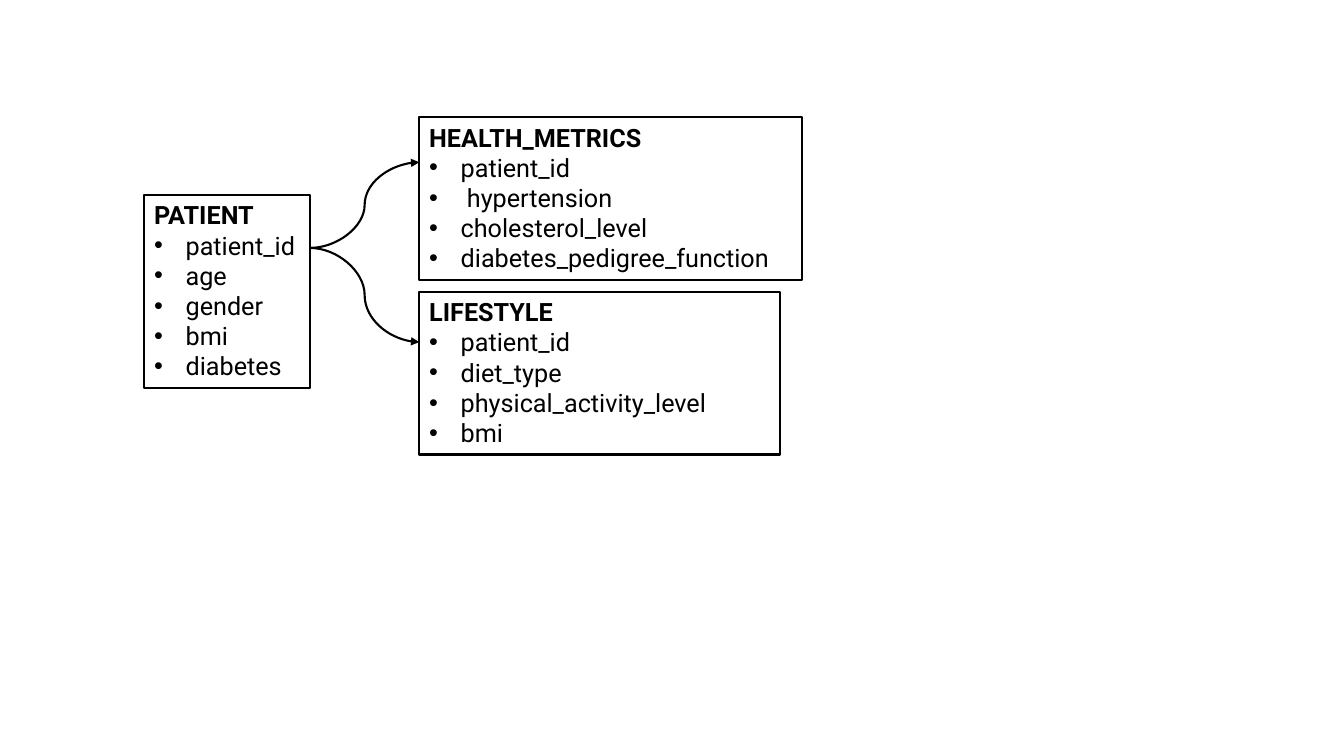
"""Build a slide showing how the patient table links to two related tables."""
from lxml import etree
from pptx import Presentation
from pptx import util as u
from pptx.dml import color
from pptx.enum import shapes, text
from pptx.oxml import ns

COLORS = {"ink": "000000", "paper": "FFFFFF"}
ENTITIES = {
    "PATIENT": {
        "left": 103, "top": 139, "width": 118.4, "port": 38.1,
        "fields": ["patient_id", "age", "gender", "bmi", "diabetes"],
    },
    "HEALTH_METRICS": {
        "left": 299.5, "top": 83.5, "width": 273.6, "port": 32.4,
        "fields": ["patient_id", " hypertension", "cholesterol_level",
                   "diabetes_pedigree_function"],
    },
    "LIFESTYLE": {
        "left": 299.5, "top": 208.3, "width": 257.8, "port": 36,
        "fields": ["patient_id", "diet_type", "physical_activity_level", "bmi"],
    },
}
RELATIONS = [("PATIENT", "HEALTH_METRICS"), ("PATIENT", "LIFESTYLE")]
ROW_HEIGHT, PADDING, INDENT, STROKE = 21.84, 7.2, 22.5, 1.5
FONT = {"name": "Roboto", "size": u.Pt(18)}
FRAME = {"word_wrap": True, "vertical_anchor": text.MSO_ANCHOR.TOP,
         "auto_size": text.MSO_AUTO_SIZE.SHAPE_TO_FIT_TEXT}


def rgb(key):
    return color.RGBColor.from_string(COLORS[key])


def apply(target, values):
    for key, value in values.items():
        setattr(target, key, value)


def outline(line):
    line.color.rgb = rgb("ink")
    line.width = u.Pt(STROKE)


def add_bullet(paragraph):
    properties = paragraph._p.get_or_add_pPr()
    properties.set("marL", str(u.Pt(INDENT)))
    properties.set("indent", str(-u.Pt(INDENT)))
    etree.SubElement(properties, ns.qn("a:buFont"), typeface="Arial")
    etree.SubElement(properties, ns.qn("a:buChar"), char="•")


def add_entity(slide, title, entity):
    rows = [title, *entity["fields"]]
    height = len(rows) * ROW_HEIGHT + PADDING
    card = slide.shapes.add_textbox(
        u.Pt(entity["left"]), u.Pt(entity["top"]),
        u.Pt(entity["width"]), u.Pt(height))
    card.fill.solid()
    card.fill.fore_color.rgb = rgb("paper")
    outline(card.line)
    apply(card.text_frame, FRAME)
    for index, wording in enumerate(rows):
        paragraph = (card.text_frame.add_paragraph() if index
                     else card.text_frame.paragraphs[0])
        run = paragraph.add_run()
        run.text = wording
        apply(run.font, {**FONT, "bold": index == 0})
        run.font.color.rgb = rgb("ink")
        if index:
            add_bullet(paragraph)


def add_relation(slide, parent, child):
    link = slide.shapes.add_connector(
        shapes.MSO_CONNECTOR.CURVE,
        u.Pt(parent["left"] + parent["width"]),
        u.Pt(parent["top"] + parent["port"]),
        u.Pt(child["left"]), u.Pt(child["top"] + child["port"]))
    outline(link.line)
    etree.SubElement(link.line._get_or_add_ln(), ns.qn("a:tailEnd"), type="triangle")
    etree.SubElement(link._element.spPr, ns.qn("a:effectLst"))


def main():
    deck = Presentation()
    apply(deck, {"slide_width": u.Pt(960), "slide_height": u.Pt(540)})
    slide = deck.slides.add_slide(deck.slide_layouts[6])
    for title, entity in ENTITIES.items():
        add_entity(slide, title, entity)
    for parent, child in RELATIONS:
        add_relation(slide, ENTITIES[parent], ENTITIES[child])
    deck.save("out.pptx")


if __name__ == "__main__":
    main()
